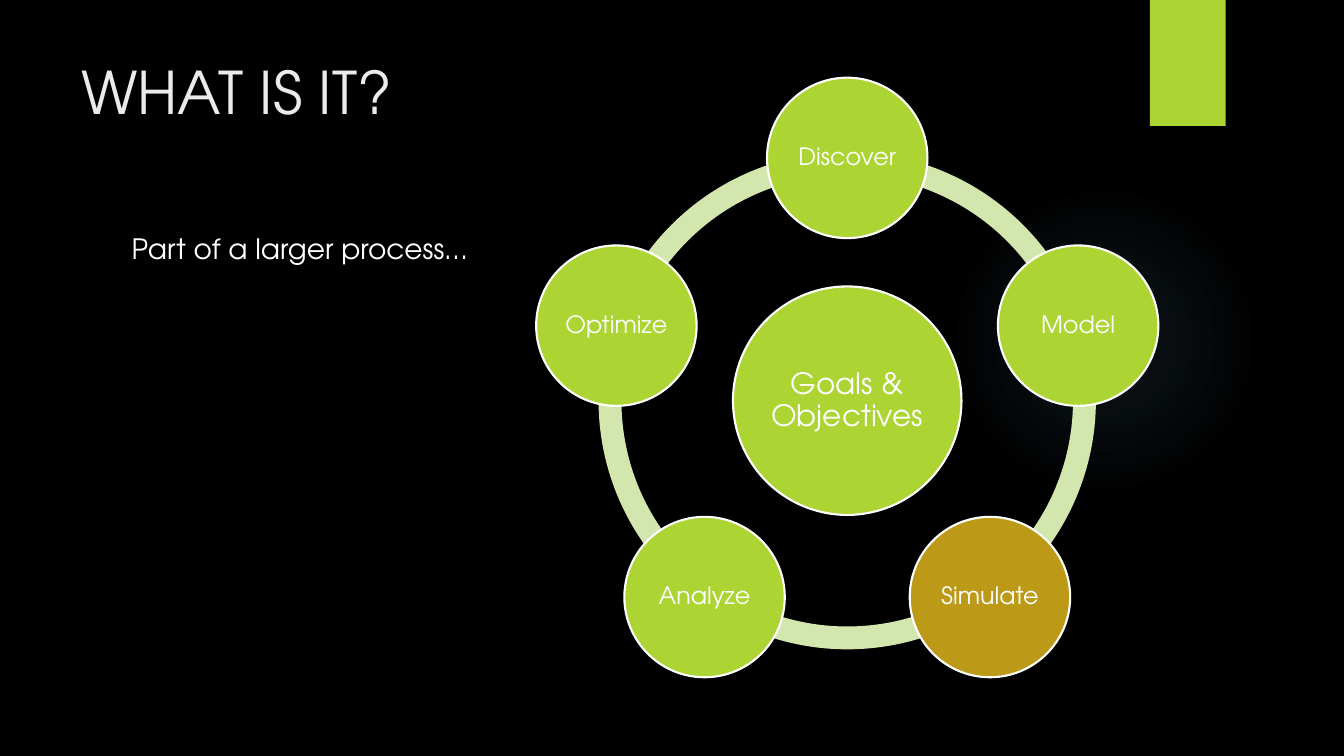
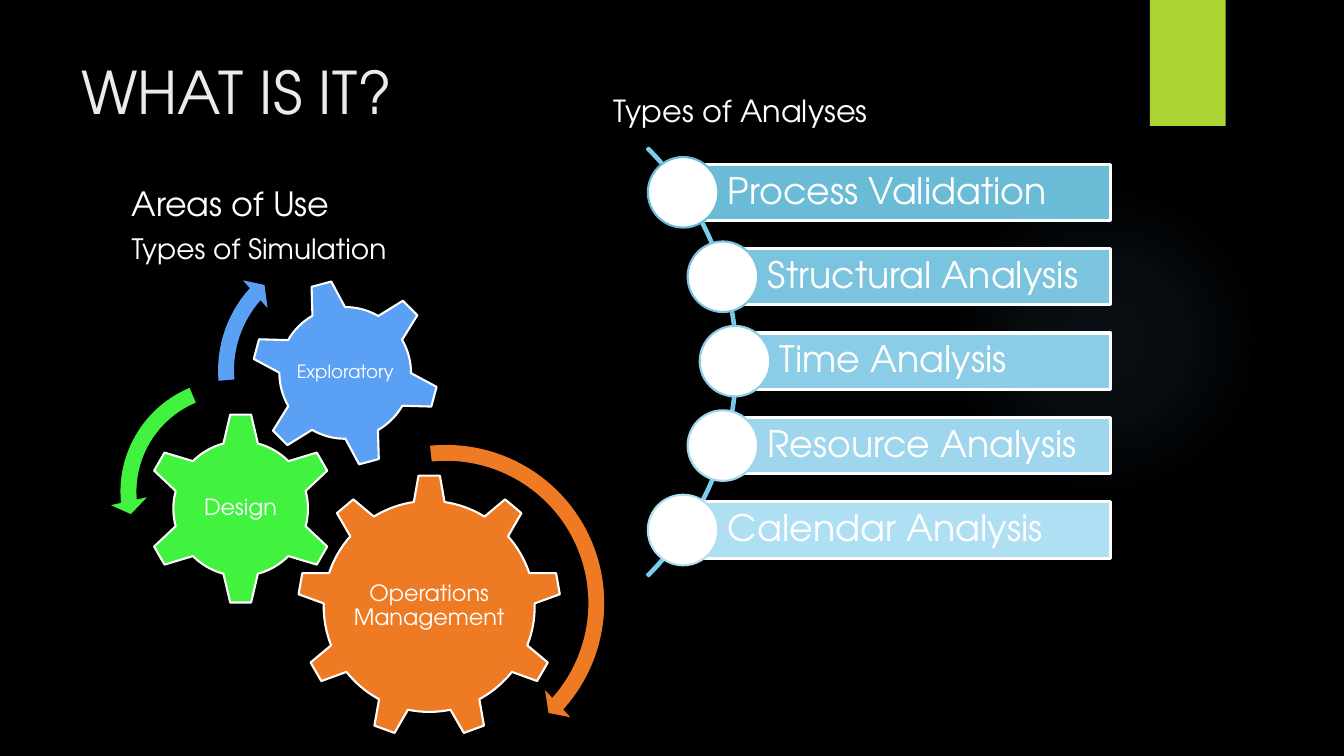
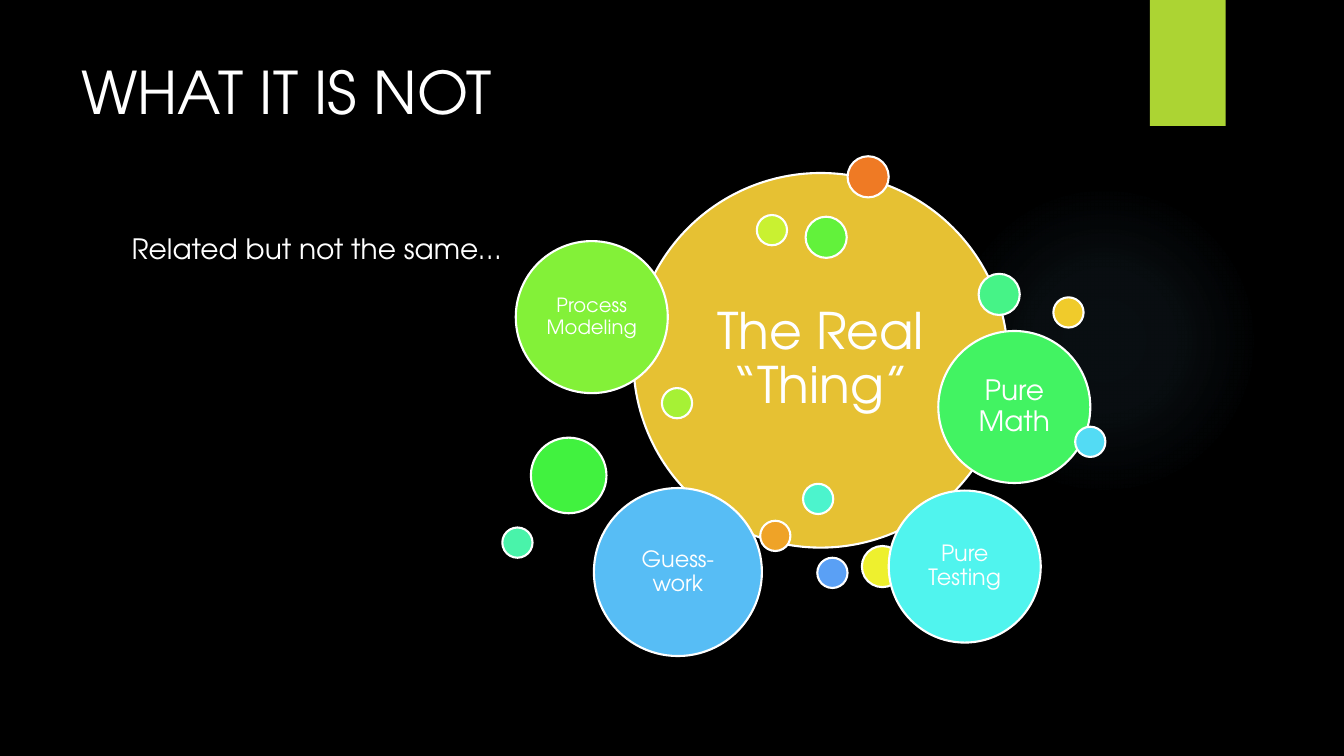
"""Build three dark slides on simulation, laid out on a grid of 160 columns by 90 rows."""
import math

from pptx import Presentation
from pptx import util as u
from pptx.dml.color import RGBColor
from pptx.enum import shapes, text
from pptx.oxml import parse_xml
from pptx.oxml.ns import nsdecls, qn

FONT = "TeX Gyre Adventor"
BLACK = RGBColor(0x00, 0x00, 0x00)
WHITE = RGBColor(0xFF, 0xFF, 0xFF)
PALE = RGBColor(0xEB, 0xEB, 0xEB)
LIME = RGBColor(0xAC, 0xD4, 0x33)
RING = RGBColor(0xD2, 0xE6, 0xAE)
GOLD = RGBColor(0xBC, 0x9A, 0x17)
SAND = RGBColor(0xE6, 0xC1, 0x33)
ORANGE = RGBColor(0xEF, 0x7A, 0x24)
AMBER = RGBColor(0xEF, 0xA3, 0x27)
YELLOW = RGBColor(0xF0, 0xCB, 0x2B)
LEMON = RGBColor(0xEE, 0xF0, 0x2E)
CITRUS = RGBColor(0xC9, 0xF1, 0x31)
LEAF = RGBColor(0xA6, 0xF1, 0x35)
GRASS = RGBColor(0x83, 0xF1, 0x38)
FERN = RGBColor(0x62, 0xF2, 0x3B)
GREEN = RGBColor(0x41, 0xF2, 0x3F)
EMERALD = RGBColor(0x42, 0xF3, 0x62)
JADE = RGBColor(0x46, 0xF3, 0x87)
MINT = RGBColor(0x49, 0xF3, 0xAA)
TEAL = RGBColor(0x4C, 0xF4, 0xCD)
AQUA = RGBColor(0x50, 0xF4, 0xEE)
CYAN = RGBColor(0x53, 0xDB, 0xF4)
SKY = RGBColor(0x57, 0xBD, 0xF5)
BLUE = RGBColor(0x5A, 0xA0, 0xF5)
CURVE = RGBColor(0x78, 0xCF, 0xEC)
BAR_1 = RGBColor(0x6A, 0xBB, 0xD6)
BAR_2 = RGBColor(0x7A, 0xC4, 0xDF)
BAR_3 = RGBColor(0x8B, 0xCD, 0xE6)
BAR_4 = RGBColor(0x9D, 0xD6, 0xED)
BAR_5 = RGBColor(0xAF, 0xDF, 0xF2)

MSO = shapes.MSO_SHAPE
CENTER = text.PP_ALIGN.CENTER
MIDDLE = text.MSO_ANCHOR.MIDDLE

prs = Presentation()
prs.slide_width, prs.slide_height = u.Inches(13.333), u.Inches(7.5)
CELL = prs.slide_height / 90


def add(s, kind, x, y, w, h, fill=None, line=None, width=1.5, adj=()):
    at = [u.Emu(round(n * CELL)) for n in (x, y, w, h)]
    sp = s.shapes.add_shape(kind, *at) if kind else s.shapes.add_textbox(*at)
    sp.shadow.inherit = False
    for part, color in ((sp.fill, fill), (sp.line.fill, line)):
        if color is None:
            part.background()
        else:
            part.solid()
            part.fore_color.rgb = color
    if line is not None:
        sp.line.width = u.Pt(width)
    for i, value in enumerate(adj):
        sp.adjustments[i] = value
    return sp


def write(sp, words, size, color=WHITE, align=CENTER, anchor=MIDDLE,
          inset=(1.5, 1.5), left=None, spacing=0.9):
    tf = sp.text_frame
    tf.word_wrap = True
    tf.vertical_anchor = anchor
    tf.margin_left = u.Pt(inset[0] if left is None else left)
    tf.margin_right = u.Pt(inset[0])
    tf.margin_top = tf.margin_bottom = u.Pt(inset[1])
    p = tf.paragraphs[0]
    p.text = words
    p.alignment = align
    p.line_spacing = spacing
    r = p.runs[0]
    r.font.name, r.font.size, r.font.color.rgb = FONT, u.Pt(size), color


PLAIN = dict(align=text.PP_ALIGN.LEFT, anchor=text.MSO_ANCHOR.TOP, inset=(7.2, 3.6))
GLOW = (
    f'<a:gradFill {nsdecls("a")}><a:gsLst>'
    + "".join(
        f'<a:gs pos="{pos}000"><a:srgbClr val="7AC4F0"><a:alpha val="{alpha}000"/></a:srgbClr></a:gs>'
        for pos, alpha in ((0, 7), (36, 6), (69, 0))
    )
    + '</a:gsLst><a:path path="circle"><a:fillToRect l="50000" t="50000" r="50000" b="50000"/>'
    "</a:path></a:gradFill>"
)

slides = []
for title, color, body in (
    ("WHAT IS IT?", PALE, "Part of a larger process…"),
    ("WHAT IS IT?", PALE, "Types of Simulation"),
    ("WHAT IT IS NOT", WHITE, "Related but not the same…"),
):
    s = prs.slides.add_slide(prs.slide_layouts[6])
    s.background.fill.solid()
    s.background.fill.fore_color.rgb = BLACK
    spPr = add(s, MSO.OVAL, 112.9, 22, 37, 37)._element.spPr
    spPr.replace(spPr.find(qn("a:noFill")), parse_xml(GLOW))
    add(s, MSO.RECTANGLE, 136.9, 0, 9, 15, LIME)
    write(add(s, None, 8.5, 6, 123.4, 18.4), title, 42, color, spacing=1, **PLAIN)
    write(add(s, None, 14.5, 27, 117.4, 55), body, 20, spacing=1, **PLAIN)
    slides.append(s)
cycle, types, bubbles = slides

cx, cy, ring, orbit, hub, node = 100.86, 47.7, 59.2, 28.9, 27.2, 19.1
STEPS = (("Discover", LIME), ("Model", LIME), ("Simulate", GOLD), ("Analyze", LIME), ("Optimize", LIME))
angles = [(270 + 72 * i) % 360 for i in range(len(STEPS))]
for angle in angles:
    ends = (angle * 0.6, (angle + 72) % 360 * 0.6, 0.046)
    add(cycle, MSO.BLOCK_ARC, cx - ring / 2, cy - ring / 2, ring, ring, RING, adj=ends)
sp = add(cycle, MSO.OVAL, cx - hub / 2, cy - hub / 2, hub, hub, LIME, WHITE)
write(sp, "Goals & Objectives", 21, inset=(2, 2))
for angle, (name, fill) in zip(angles, STEPS):
    x = cx + orbit * math.cos(math.radians(angle)) - node / 2
    y = cy + orbit * math.sin(math.radians(angle)) - node / 2
    write(add(cycle, MSO.OVAL, x, y, node, node, fill, WHITE), name, 17)

cx, cy, reach, pitch, right, bar, dot = 51.7, 43, 35.8, 10.05, 132.2, 6.7, 8.4
add(types, MSO.BLOCK_ARC, 15.6, 7, 72.2, 72.2, line=CURVE, adj=(189, 27, 0.004))
for i, (name, fill) in enumerate((
    ("Process Validation", BAR_1),
    ("Structural Analysis", BAR_2),
    ("Time Analysis", BAR_3),
    ("Resource Analysis", BAR_4),
    ("Calendar Analysis", BAR_5),
)):
    rise = (i - 2) * pitch
    x, y = cx + math.sqrt(reach ** 2 - rise ** 2), cy + rise
    sp = add(types, MSO.RECTANGLE, x, y - bar / 2, right - x, bar, fill, WHITE, 2.25)
    write(sp, name, 26, align=text.PP_ALIGN.LEFT, inset=(5, 5), left=32)
    add(types, MSO.OVAL, x - dot / 2, y - dot / 2, dot, dot, WHITE, fill)

for kind, x, y, size, turn, fill, name, points in (
    (MSO.GEAR_9, 35.4, 56.5, 31.4, 0, ORANGE, "Operations Management", 16),
    (MSO.GEAR_6, 17.2, 49.1, 22.9, 0, GREEN, "Design", 16),
    (MSO.GEAR_6, 29.9, 33.2, 22.4, 345, BLUE, "Exploratory", 13),
):
    add(types, kind, x, y, size, size, fill, WHITE).rotation = turn
    label = add(types, None, x + size * 0.2, y + size * 0.2, size * 0.6, size * 0.6)
    write(label, name, points)
for kind, x, y, size, fill, adj in (
    (MSO.CIRCULAR_ARROW, 33, 51.7, 40.2, ORANGE, (0.047, 2.99, 25.2, 158.53, 0.055)),
    (MSO.LEFT_CIRCULAR_ARROW, 13.1, 43.9, 29.3, GREEN, (0.065, 4.3, 104.89, 148.38, 0.075)),
    (MSO.CIRCULAR_ARROW, 24.7, 28.3, 31.6, BLUE, (0.06, 3.94, 133.14, 105.08, 0.07)),
):
    add(types, kind, x, y, size, size, fill, adj=adj)
write(add(types, None, 14.5, 22.2, 27.6, 7), "Areas of Use", 23.8, spacing=0.8, **PLAIN)
write(add(types, None, 71.9, 11.6, 36, 6.2), "Types of Analyses", 21.7, spacing=0.7, **PLAIN)

HUGE, LARGE, BIG, MID, SMALL, TINY = 44.6, 20, 18.1, 9, 4.9, 3.6
for x, y, size, fill, name, points, inset in (
    (75.4, 20.6, HUGE, SAND, "The Real “Thing”", 36, 11),
    (100.9, 18.6, SMALL, ORANGE, "", 0, 0),
    (90.5, 62, TINY, AMBER, "", 0, 0),
    (125.4, 35.4, TINY, YELLOW, "", 0, 0),
    (102.6, 65, SMALL, LEMON, "", 0, 0),
    (90.1, 25.6, TINY, CITRUS, "", 0, 0),
    (78.8, 46.2, TINY, LEAF, "", 0, 0),
    (61.4, 28.7, BIG, GRASS, "Process Modeling", 14, 4.5),
    (95.9, 25.8, SMALL, FERN, "", 0, 0),
    (63.2, 52.1, MID, GREEN, "", 0, 0),
    (111.7, 39.4, BIG, EMERALD, "Pure Math", 20, 5.5),
    (116.5, 32.6, SMALL, JADE, "", 0, 0),
    (59.8, 62.8, TINY, MINT, "", 0, 0),
    (95.6, 57.6, TINY, TEAL, "", 0, 0),
    (105.8, 58.4, BIG, AQUA, "Pure Testing", 16, 5),
    (128, 50.8, TINY, CYAN, "", 0, 0),
    (70.7, 58.1, LARGE, SKY, "Guess-work", 16, 5),
    (97.3, 66.4, TINY, BLUE, "", 0, 0),
):
    sp = add(bubbles, MSO.OVAL, x, y, size, size, fill, WHITE)
    if name:
        write(sp, name, points, inset=(inset, inset))

prs.save("out.pptx")
